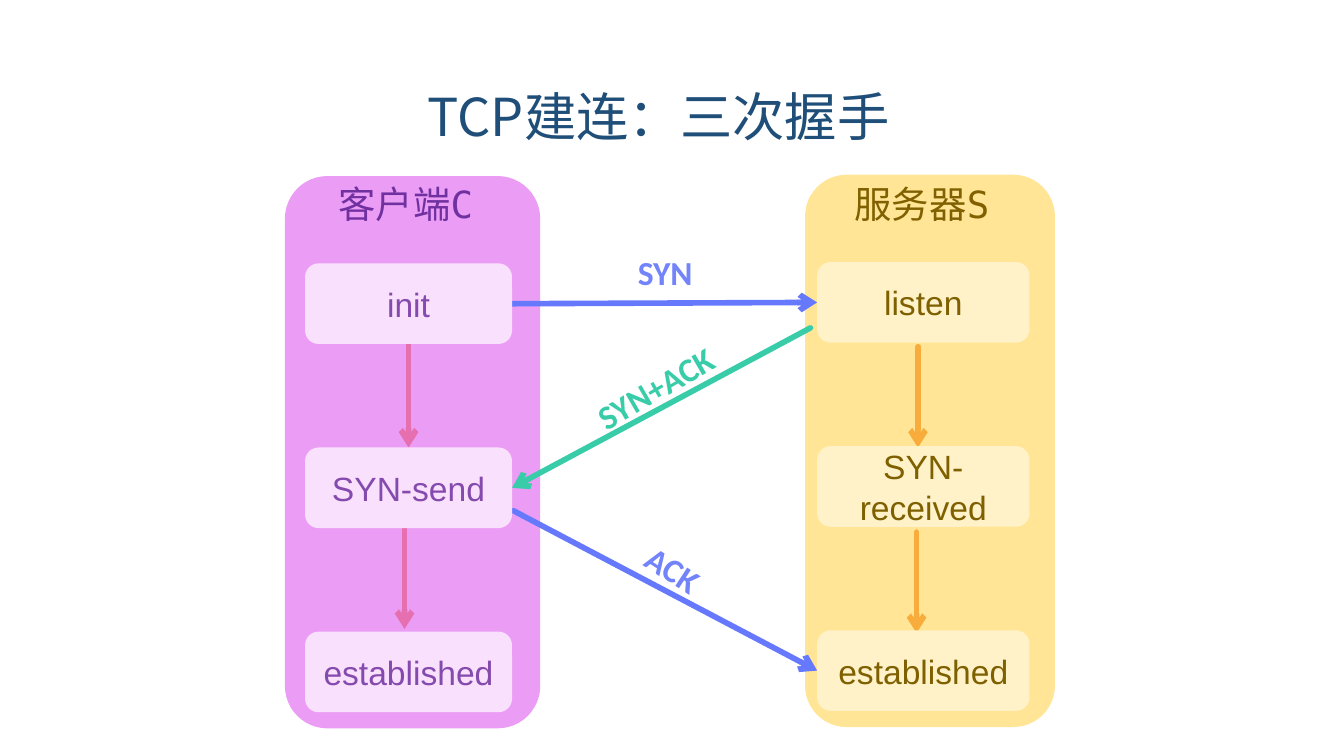
from lxml import etree
from pptx import Presentation
from pptx.dml.color import RGBColor
from pptx.enum import shapes, text
from pptx.oxml import ns
from pptx.util import Inches, Pt

COLORS = {
    "title": "1F4E79", "state": "ED7D31", "request": "6679FC", "reply": "38CDA8",
    "request_text": "7384FB",
    "client": "E169F1", "client_title": "7030A0", "client_box": "F9E0FC", "client_text": "844AAD",
    "server": "FFD243", "server_title": "806000", "server_box": "FFF2C9", "server_text": "7E6000",
}
BOX_H, BOX_STEP = 0.6, 1.37


def rgb(name):
    """Return the named colour."""
    return RGBColor.from_string(COLORS[name])


def add_xml(parent, tag, **attrs):
    """Append a DrawingML element to parent."""
    return etree.SubElement(parent, ns.qn(tag), attrs)


def write(sp, words, color, size=18, font="Arial", bold=False, **frame):
    """Write one formatted paragraph in a shape."""
    tf = sp.text_frame
    settings = {"word_wrap": True, "vertical_anchor": text.MSO_ANCHOR.MIDDLE, **frame}
    align = settings.pop("align", text.PP_ALIGN.CENTER)
    for key, value in settings.items():
        setattr(tf, key, value)
    p = tf.paragraphs[0]
    p.alignment = align
    r = p.add_run()
    r.text = words
    for key, value in {"size": Pt(size), "name": font, "bold": bold}.items():
        setattr(r.font, key, value)
    r.font.color.rgb = rgb(color)
    add_xml(r.font._element, "a:ea", typeface=font)


def add_round_rect(parent, x, y, w, h, fill=None, alpha=None):
    """Add a rounded rectangle without outline."""
    sp = parent.add_shape(shapes.MSO_SHAPE.ROUNDED_RECTANGLE,
                          Inches(x), Inches(y), Inches(w), Inches(h))
    sp.shadow.inherit = False
    sp.line.fill.background()
    if fill is None:
        sp.fill.background()
        return sp
    sp.fill.solid()
    sp.fill.fore_color.rgb = rgb(fill)
    if alpha:
        color = sp.fill._xPr.find(".//" + ns.qn("a:srgbClr"))
        add_xml(color, "a:alpha", val=str(alpha * 1000))
    return sp


def add_arrow(s, color, x1, y1, x2, y2):
    """Add a straight arrow with round caps."""
    c = s.shapes.add_connector(shapes.MSO_CONNECTOR.STRAIGHT,
                               Inches(x1), Inches(y1), Inches(x2), Inches(y2))
    c.line.color.rgb = rgb(color)
    c.line.width = Pt(3)
    ln = c.line._get_or_add_ln()
    ln.set("cap", "rnd")
    add_xml(ln, "a:round")
    add_xml(ln, "a:tailEnd", type="arrow")
    add_xml(c._element.spPr, "a:effectLst")
    return c


def add_panel(s, role, words, x, y, w, text_x, text_w, alpha):
    """Add a translucent panel grouped with its heading."""
    group = s.shapes.add_group_shape().shapes
    add_round_rect(group, x, y, w, 4.11, role, alpha)
    heading = group.add_textbox(Inches(text_x), Inches(1.3), Inches(text_w), Inches(0.44))
    write(heading, words, role + "_title", 20, "DejaVu Sans Mono",
          align=text.PP_ALIGN.LEFT, vertical_anchor=text.MSO_ANCHOR.TOP)


def add_states(s, role, names, x, y, w):
    """Add a column of state boxes and return them."""
    boxes = []
    for i, name in enumerate(names):
        sp = add_round_rect(s.shapes, x, y + i * BOX_STEP, w, BOX_H, role + "_box")
        write(sp, name, role + "_text")
        boxes.append(sp)
    return boxes


def add_label(s, words, color, x, y, w, rotation=0):
    """Add a message label, turned along its arrow."""
    sp = add_round_rect(s.shapes, x, y, w, 0.51)
    sp.adjustments[0] = 0.13
    sp.rotation = rotation
    write(sp, words, color, font="Calibri", bold=True)


def add_title(s, words):
    """Place and format the slide title."""
    sp = s.shapes.title
    for key, value in {"left": 0.99, "top": 0.58, "width": 7.82, "height": 0.57}.items():
        setattr(sp, key, Inches(value))
    write(sp, words, "title", 28, "Noto Sans CJK SC", vertical_anchor=text.MSO_ANCHOR.TOP,
          auto_size=text.MSO_AUTO_SIZE.SHAPE_TO_FIT_TEXT)


def main():
    """Build the TCP handshake slide."""
    prs = Presentation()
    prs.slide_width, prs.slide_height = Inches(10), Inches(10 * 9 / 16)
    s = prs.slides.add_slide(prs.slide_layouts[5])
    add_title(s, "TCP建连：三次握手")

    steps = [add_arrow(s, "state", x, y, x, y + 0.75)
             for x, y in ((3.03, 2.56), (3.01, 3.93), (6.83, 2.58), (6.82, 3.96))]
    add_panel(s, "client", "客户端C", 2.12, 1.31, 1.9, 2.42, 1.62, 66)
    add_panel(s, "server", "服务器S", 5.99, 1.3, 1.86, 6.26, 1.58, 56)

    syn = add_arrow(s, "request", 3.8, 2.26, 6.08, 2.25)
    add_label(s, "SYN", "request_text", 4.55, 1.77, 0.8)
    add_label(s, "SYN+ACK", "reply", 4.04, 2.63, 1.67, 330)
    syn_ack = add_arrow(s, "reply", 6.03, 2.44, 3.8, 3.63)
    ack = add_arrow(s, "request", 3.82, 3.8, 6.08, 4.99)

    client = add_states(s, "client", ("init", "SYN-send", "established"), 2.27, 1.96, 1.54)
    server = add_states(s, "server", ("listen", "SYN-received", "established"), 6.08, 1.95, 1.58)
    add_label(s, "ACK", "request_text", 4.61, 3.98, 0.8, 33)

    steps[0].begin_connect(client[0], 2)
    steps[0].end_connect(client[1], 0)
    syn.begin_connect(client[0], 3)
    syn.end_connect(server[0], 1)
    syn_ack.end_connect(client[1], 3)
    ack.end_connect(server[2], 1)
    prs.save("out.pptx")


if __name__ == "__main__":
    main()
